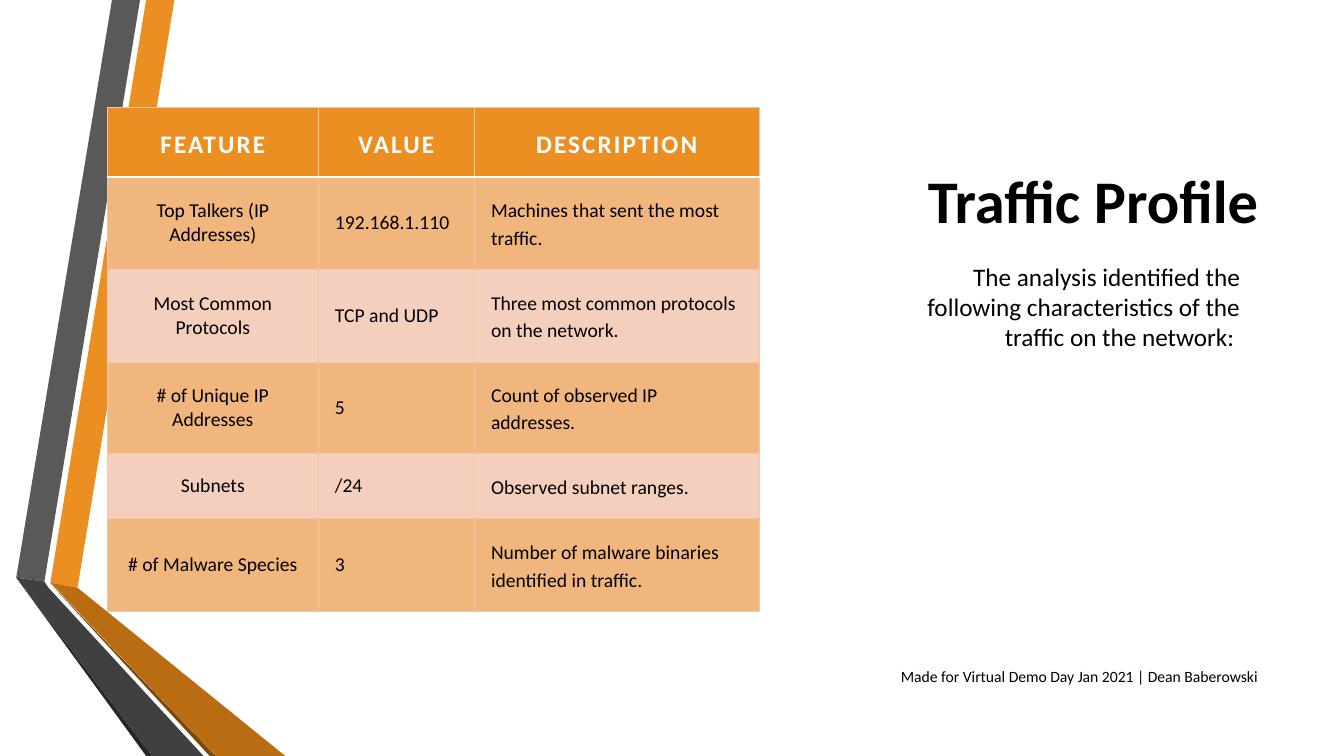
from pptx import Presentation
from pptx.dml.color import RGBColor
from pptx.enum.text import MSO_ANCHOR as Anchor, PP_ALIGN as Align
from pptx.oxml import parse_xml
from pptx.oxml.ns import nsdecls
from pptx.util import Pt

BLACK = RGBColor(0x00, 0x00, 0x00)
WHITE = RGBColor(0xFF, 0xFF, 0xFF)
ORANGE = RGBColor(0xEB, 0x8F, 0x22)
DARK_ORANGE = RGBColor(0xB9, 0x6C, 0x11)
BROWN = RGBColor(0x7B, 0x48, 0x0B)
GREY = RGBColor(0x59, 0x59, 0x59)
DARK_GREY = RGBColor(0x40, 0x40, 0x40)
CHARCOAL = RGBColor(0x26, 0x26, 0x26)
BAND_DARK = RGBColor(0xF1, 0xB5, 0x7E)
BAND_LIGHT = RGBColor(0xF5, 0xCF, 0xBD)
GRID = RGBColor(0xF3, 0xC6, 0xAC)
FONT = "Calibri"

TITLE = "Traffic Profile"
INTRO = "The analysis identified the following characteristics of the traffic on the network: "
CREDIT = "Made for Virtual Demo Day Jan 2021 | Dean Baberowski"
ROWS = [
    ("FEATURE", "VALUE", "DESCRIPTION"),
    ("Top Talkers (IP Addresses)", "192.168.1.110", "Machines that sent the most traffic."),
    ("Most Common Protocols", "TCP and UDP", "Three most common protocols on the network."),
    ("# of Unique IP Addresses", "5", "Count of observed IP addresses."),
    ("Subnets", "/24", "Observed subnet ranges."),
    ("# of Malware Species", "3", "Number of malware binaries identified in traffic."),
]
COLUMN_WIDTHS = (150.5, 111.5, 203.5)
ROW_HEIGHTS = (49.5, 66, 66.5, 65, 46.5, 66.5)
COLUMN_ALIGNS = (Align.CENTER, Align.LEFT, Align.LEFT)
TABLE_LEFT = TABLE_TOP = 76.8
CELL_MARGIN = 12

RIBBONS = [
    (ORANGE, [(36, 416.2), (55.4, 419.8), (124.6, 0), (104.4, 0)]),
    (GREY, [(100, 0), (80, 0), (11.6, 412.6), (31.7, 415.4)]),
    (CHARCOAL, [(11.6, 412.6), (104.4, 540), (108.7, 540)]),
    (BROWN, [(36, 416.9), (149.8, 540), (154.1, 540)]),
    (DARK_ORANGE, [(36, 416.2), (154.1, 540), (203.8, 540), (55.4, 419.8)]),
    (DARK_GREY, [(145.4, 540), (34.6, 419.8), (31.7, 415.4), (11.6, 412.6), (108.7, 540)]),
]


def place(box, left, top, width, height):
    box.left, box.top, box.width, box.height = Pt(left), Pt(top), Pt(width), Pt(height)


def write(frame, text, size, align, anchor, color=BLACK, bold=False):
    frame.text = text
    frame.word_wrap = True
    frame.vertical_anchor = anchor
    para = frame.paragraphs[0]
    para.alignment = align
    font = para.font
    font.name, font.size, font.bold = FONT, Pt(size), bold
    font.color.rgb = color
    return para


def add_ribbon(page, color, points):
    corners = [(Pt(x), Pt(y)) for x, y in points]
    builder = page.shapes.build_freeform(*corners[0])
    builder.add_line_segments(corners[1:], close=True)
    ribbon = builder.convert_to_shape()
    ribbon.fill.solid()
    ribbon.fill.fore_color.rgb = color
    ribbon.line.fill.background()
    ribbon.shadow.inherit = False


def add_border(cell, side, color, width):
    cell._tc.get_or_add_tcPr().append(parse_xml(
        f'<a:ln{side} {nsdecls("a")} w="{Pt(width)}"><a:solidFill>'
        f'<a:srgbClr val="{color}"/></a:solidFill></a:ln{side}>'))


def fill_cell(cell, text, row, column):
    header = row == 0
    cell.margin_left = cell.margin_right = Pt(CELL_MARGIN)
    cell.margin_top = cell.margin_bottom = Pt(CELL_MARGIN)
    for side in "LRTB":
        white = (row, side) in ((0, "B"), (1, "T"))
        add_border(cell, side, WHITE if white else GRID, 1.25 if white else 0.75)
    cell.fill.solid()
    cell.fill.fore_color.rgb = ORANGE if header else BAND_DARK if row % 2 else BAND_LIGHT
    if header:
        para = write(cell.text_frame, text, 18, Align.CENTER, Anchor.BOTTOM, WHITE, True)
        para.runs[0]._r.get_or_add_rPr().set("spc", "150")
    else:
        para = write(cell.text_frame, text, 14, COLUMN_ALIGNS[column], Anchor.MIDDLE)
        if column == 2:
            para.line_spacing = 1.15
    cell.vertical_anchor = Anchor.BOTTOM if header else Anchor.MIDDLE


def add_traffic_table(page):
    table = page.shapes.add_table(
        len(ROWS), len(COLUMN_WIDTHS), Pt(TABLE_LEFT), Pt(TABLE_TOP),
        Pt(sum(COLUMN_WIDTHS)), Pt(sum(ROW_HEIGHTS))).table
    table.horz_banding = False
    for column, width in zip(table.columns, COLUMN_WIDTHS):
        column.width = Pt(width)
    for row, height in zip(table.rows, ROW_HEIGHTS):
        row.height = Pt(height)
    for row, texts in enumerate(ROWS):
        for column, text in enumerate(texts):
            fill_cell(table.cell(row, column), text, row, column)


def main():
    deck = Presentation()
    deck.slide_width, deck.slide_height = Pt(960), Pt(540)
    page = deck.slides.add_slide(deck.slide_layouts[1])
    for color, points in RIBBONS:
        add_ribbon(page, color, points)

    title, body = page.placeholders
    place(title, 633, 51, 273, 121)
    write(title.text_frame, TITLE, 43.2, Align.RIGHT, Anchor.BOTTOM, bold=True)

    place(body, 620, 183, 273, 148)
    intro = write(body.text_frame, INTRO, 18, Align.RIGHT, Anchor.TOP)
    intro.space_before, intro.space_after = Pt(0), Pt(6)
    properties = intro._p.get_or_add_pPr()
    properties.set("marL", "0")
    properties.set("indent", "0")
    properties.insert_element_before(
        parse_xml(f'<a:buNone {nsdecls("a")}/>'), "a:tabLst", "a:defRPr", "a:extLst")

    add_traffic_table(page)

    credit = page.shapes.add_textbox(Pt(569.5), Pt(474), Pt(336), Pt(18))
    write(credit.text_frame, CREDIT, 11.2, Align.RIGHT, Anchor.MIDDLE)
    deck.save("out.pptx")


if __name__ == "__main__":
    main()
